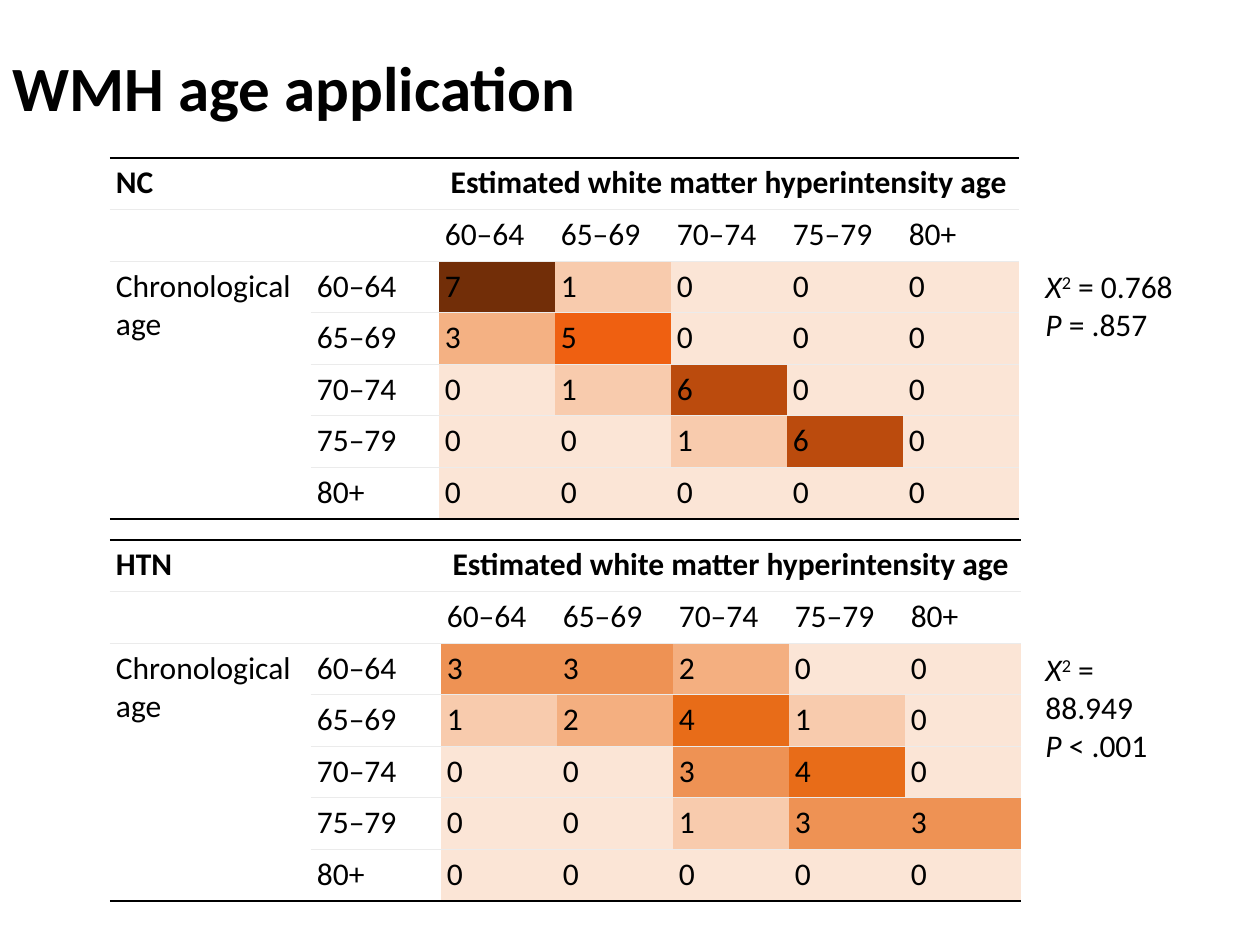
from dataclasses import dataclass

from lxml.etree import SubElement
from pptx import Presentation
from pptx.dml.color import RGBColor
from pptx.enum.text import MSO_ANCHOR as Anchor, PP_ALIGN as Align
from pptx.oxml.ns import qn
from pptx.util import Emu, Pt

PX_PER_INCH = 126
FONT = "Calibri"
BLACK, GREY = "000000", "EBEBEB"
PLAIN_STYLE = "{2D5ABB26-0587-4C30-8999-92F81FD0307C}"
AGES = ["60–64", "65–69", "70–74", "75–79", "80+"]
HEADER_ROWS, LABEL_COLS = 2, 2
ROWS, COLS = HEADER_ROWS + len(AGES), LABEL_COLS + len(AGES)
TABLE_LEFT, TABLE_HEIGHT = 110, 361
LABEL_WIDTH, COUNT_WIDTH, INSET = 201, 116, 6


@dataclass(frozen=True)
class Group:
    name: str
    top: int
    age_width: int
    counts: list[list[int]]
    shades: dict[int, str]
    stat_top: int
    chi_square: str
    p_value: str


GROUPS = [
    Group("NC", 158, 128,
          [[7, 1, 0, 0, 0], [3, 5, 0, 0, 0], [0, 1, 6, 0, 0],
           [0, 0, 1, 6, 0], [0, 0, 0, 0, 0]],
          {0: "FBE5D6", 1: "F8CBAD", 3: "F4B183", 5: "EF6011",
           6: "BB4B0D", 7: "722E08"},
          261, " = 0.768", " = .857"),
    Group("HTN", 540, 130,
          [[3, 3, 2, 0, 0], [1, 2, 4, 1, 0], [0, 0, 3, 4, 0],
           [0, 0, 1, 3, 3], [0, 0, 0, 0, 0]],
          {0: "FBE5D6", 1: "F8CBAD", 2: "F4AF80", 3: "EE9254", 4: "E86C18"},
          644, " = 88.949", " < .001"),
]


def px(n: int) -> Emu:
    return Emu(round(n * 914400 / PX_PER_INCH))


def rgb(color: str) -> RGBColor:
    return RGBColor.from_string(color)


def style(p, size: int, bold: bool = False) -> None:
    p.font.name, p.font.size, p.font.bold = FONT, Pt(size), bold
    p.font.color.rgb = rgb(BLACK)


def add_border(cell, side: str, color: str) -> None:
    """Draw the cell's top ("lnT") or bottom ("lnB") edge; call before filling."""
    width = Pt(1) if color == BLACK else Pt(0.75)
    ln = SubElement(cell._tc.get_or_add_tcPr(), qn(f"a:{side}"), w=str(width))
    fill = SubElement(ln, qn("a:solidFill"))
    SubElement(fill, qn("a:srgbClr"), val=color)


def add_borders(cell, row: int) -> None:
    inside_label = cell.is_spanned and row > HEADER_ROWS
    if not inside_label:
        add_border(cell, "lnT", BLACK if row == 0 else GREY)
    ends_table = row == ROWS - 1 or (cell.is_merge_origin and row == HEADER_ROWS)
    if ends_table or not inside_label:
        add_border(cell, "lnB", BLACK if ends_table else GREY)


def cell_text(group: Group, row: int, col: int) -> str:
    i, j = row - HEADER_ROWS, col - LABEL_COLS
    if i >= 0 and j >= 0:
        return str(group.counts[i][j])
    if i >= 0 and col == 1:
        return AGES[i]
    if row == 1 and j >= 0:
        return AGES[j]
    return {(0, 0): group.name,
            (0, LABEL_COLS): "Estimated white matter hyperintensity age",
            (HEADER_ROWS, 0): "Chronological age"}.get((row, col), "")


def add_table(slide, group: Group) -> None:
    widths = [LABEL_WIDTH, group.age_width] + [COUNT_WIDTH] * len(AGES)
    frame = slide.shapes.add_table(ROWS, COLS, px(TABLE_LEFT), px(group.top),
                                   px(sum(widths)), px(TABLE_HEIGHT))
    table = frame.table
    table.first_row = table.horz_banding = False
    table._tbl.tblPr.find(qn("a:tableStyleId")).text = PLAIN_STYLE
    for column, width in zip(table.columns, widths):
        column.width = px(width)
    table.cell(0, LABEL_COLS).merge(table.cell(0, COLS - 1))
    table.cell(HEADER_ROWS, 0).merge(table.cell(ROWS - 1, 0))

    for row in range(ROWS):
        for col in range(COLS):
            cell = table.cell(row, col)
            add_borders(cell, row)
            if row >= HEADER_ROWS and col >= LABEL_COLS:
                count = group.counts[row - HEADER_ROWS][col - LABEL_COLS]
                cell.fill.solid()
                cell.fill.fore_color.rgb = rgb(group.shades[count])
            else:
                cell.fill.background()
            cell.margin_left = cell.margin_right = px(INSET)
            cell.margin_top = cell.margin_bottom = px(INSET)
            p = cell.text_frame.paragraphs[0]
            style(p, 18, bold=row == 0)
            text = cell_text(group, row, col)
            if text:
                p.add_run().text = text
            if row == 0 and col == LABEL_COLS:
                p.alignment = Align.CENTER


def add_statistics(slide, group: Group) -> None:
    box = slide.shapes.add_textbox(px(1033), px(group.stat_top), px(160), px(89))
    tf = box.text_frame
    tf.word_wrap = False
    chi, prob = tf.paragraphs[0], tf.add_paragraph()
    for p, symbol, power, value in ((chi, "X", "2", group.chi_square),
                                    (prob, "P", "", group.p_value)):
        style(p, 18)
        r = p.add_run()
        r.text, r.font.italic = symbol, True
        if power:
            r = p.add_run()
            r.text = power
            r._r.get_or_add_rPr().set("baseline", "30000")
        p.add_run().text = value


def add_title(slide, text: str) -> None:
    title = slide.shapes.title
    title.left, title.top, title.width, title.height = map(px, (0, 0, 1086, 183))
    tf = title.text_frame
    tf.text, tf.vertical_anchor = text, Anchor.MIDDLE
    p = tf.paragraphs[0]
    style(p, 36, bold=True)
    p.alignment, p.line_spacing = Align.LEFT, 0.9


def main() -> None:
    prs = Presentation()
    prs.slide_width, prs.slide_height = px(1260), px(945)
    slide = prs.slides.add_slide(prs.slide_layouts[5])
    add_title(slide, "WMH age application")
    for group in GROUPS:
        add_table(slide, group)
    for group in GROUPS:
        add_statistics(slide, group)
    prs.save("out.pptx")


if __name__ == "__main__":
    main()
